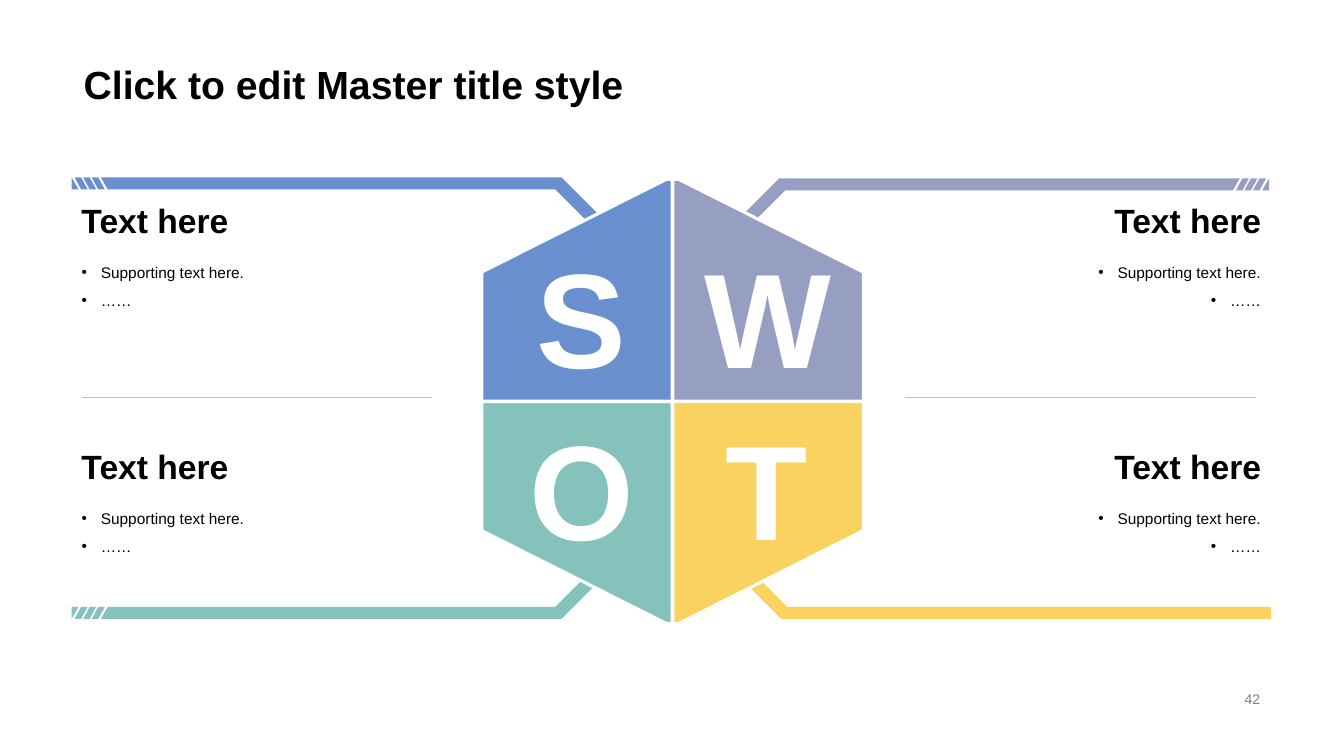
from lxml import etree
from pptx import Presentation
from pptx.dml.color import RGBColor
from pptx.enum.shapes import MSO_CONNECTOR
from pptx.enum.text import MSO_ANCHOR, MSO_AUTO_SIZE, PP_ALIGN
from pptx.oxml.ns import qn
from pptx.util import Inches, Pt

LEFT, MID, RIGHT = PP_ALIGN.LEFT, PP_ALIGN.CENTER, PP_ALIGN.RIGHT
TOP, CENTRE, BASE = MSO_ANCHOR.TOP, MSO_ANCHOR.MIDDLE, MSO_ANCHOR.BOTTOM
FIXED = MSO_AUTO_SIZE.NONE
STRAIGHT = MSO_CONNECTOR.STRAIGHT
COLS, ROWS = 133.33, 75
BLACK, WHITE, GREY, RULE = "000000", "FFFFFF", "7F7F7F", "BFBFBF"

ARM = [[(10, 17.6), (55.7, 17.6), (66.7, 28.6), (66.7, 39.6),
        (65.6, 39.6), (65.6, 29.3), (55.1, 18.8), (10.7, 18.8)]]
STRIPES = [[(x, 17.6), (x + 0.65, 17.6), (x + 1.3, 18.8), (x + 0.65, 18.8)]
           for x in (7.4, 8.25, 9.1)]
TIP = [[(7.1, 17.6), (7.8, 18.8), (7.1, 18.8)]]
STRIPED = ARM + STRIPES + TIP
PLAIN = [[(7.1, 17.6)] + ARM[0][1:-1] + [(7.1, 18.8)]]
PANEL = [[(66.7, 39.8), (47.8, 39.8), (47.8, 27), (66.1, 17.8), (66.7, 17.8)]]

SAME = (1, 0)
PARTS = [
    ("S", "698FCE", STRIPED, SAME, SAME, (47.8, 19.8)),
    ("W", "969EC2", STRIPED, (-1, 133), (1, 0.1), (68.8, 14.8)),
    ("O", "85C2BC", STRIPED, SAME, (-1, 79), (47.8, 19.8)),
    ("T", "FAD25F", PLAIN, (-1, 133.2), (-1, 79), (67, 18.1)),
]


def tint(code):
    return RGBColor.from_string(code)


def flip(loops, across, down):
    return [[(across[0] * x + across[1], down[0] * y + down[1])
             for x, y in loop] for loop in loops]


class Board:
    """Draw styled elements on one slide, measured in grid columns and rows."""

    def __init__(self, deck, slide, font):
        self.slide, self.font = slide, font
        self.col, self.row = deck.slide_width / COLS, deck.slide_height / ROWS

    def spot(self, x, y):
        return round(x * self.col), round(y * self.row)

    def letter(self, shape, lines, size, color=BLACK, bold=False,
               align=LEFT, anchor=TOP, space=1.0, mark=None):
        frame = shape.text_frame
        frame.word_wrap, frame.auto_size = True, FIXED
        frame.vertical_anchor = anchor
        for i, line in enumerate(lines):
            para = frame.add_paragraph() if i else frame.paragraphs[0]
            para.alignment, para.line_spacing = align, space
            para.space_before = para.space_after = Pt(0)
            run = para.add_run()
            run.text = line
            font = run.font
            font.name, font.size, font.bold = self.font, Pt(size), bold
            font.color.rgb = tint(color)
            if mark:
                self.mark(para, mark, color)

    def mark(self, para, sign, color):
        props = para._p.get_or_add_pPr()
        props.set("marL", str(Inches(0.19)))
        props.set("indent", str(Inches(-0.19)))
        paint = etree.SubElement(props, qn("a:buClr"))
        etree.SubElement(paint, qn("a:srgbClr"), val=color)
        etree.SubElement(props, qn("a:buFont"), typeface=self.font)
        etree.SubElement(props, qn("a:buChar"), char=sign)

    def text(self, x, y, w, h, line, size, **style):
        box = self.slide.shapes.add_textbox(*self.spot(x, y), *self.spot(w, h))
        self.letter(box, [line], size, **style)

    def holder(self, index, x, y, w, h, lines, size, **style):
        shape = self.slide.placeholders[index]
        shape.left, shape.top = self.spot(x, y)
        shape.width, shape.height = self.spot(w, h)
        self.letter(shape, lines, size, **style)

    def outline(self, loops, color, edge=None):
        first, *rest = [[self.spot(*point) for point in loop] for loop in loops]
        pen = self.slide.shapes.build_freeform(*first[0])
        pen.add_line_segments(first[1:])
        for loop in rest:
            pen.move_to(*loop[0])
            pen.add_line_segments(loop[1:])
        shape = pen.convert_to_shape()
        shape.shadow.inherit = False
        shape.fill.solid()
        shape.fill.fore_color.rgb = tint(color)
        if edge:
            shape.line.color.rgb, shape.line.width = tint(edge), Pt(2.25)
        else:
            shape.line.fill.background()

    def rule(self, x, y, w):
        line = self.slide.shapes.add_connector(
            STRAIGHT, *self.spot(x, y), *self.spot(x + w, y))
        line.line.color.rgb, line.line.width = tint(RULE), Pt(0.75)
        etree.SubElement(line._element.spPr, qn("a:effectLst"))


def main():
    deck = Presentation()
    deck.slide_width, deck.slide_height = Inches(13.33), Inches(7.5)
    slide = deck.slides.add_slide(deck.slide_layouts[4])
    board = Board(deck, slide, "Arial")
    board.holder(0, 7.3, 0, 118.7, 11.2, ["Click to edit Master title style"],
                 28, bold=True, anchor=BASE, space=0.9)
    board.text(94.2, 68.2, 31.8, 2.3, "42", 10, color=GREY,
               align=RIGHT, anchor=CENTRE)

    for _, color, arm, across, down, _ in PARTS:
        board.outline(flip(arm, across, down), color)

    for i, (sign, color, _, _, _, (x, w)) in enumerate(PARTS):
        low, right = divmod(i, 2)
        across = (-1, 133.45) if right else SAME
        down = (-1, 79.65) if low else SAME
        board.outline(flip(PANEL, across, down), color, WHITE)
        board.text(x, 39.8 if low else 22.7, w, 19.3, sign, 96,
                   color=WHITE, bold=True, align=MID)

        side, y = 85.6 if right else 7.1, 19 + 24.4 * low
        align = RIGHT if right else LEFT
        board.text(side, y, 40.5, 5.7, "Text here", 24, bold=True,
                   align=align, anchor=CENTRE)
        board.holder(i + 1, side, y + 5.7, 40.5, 10,
                     ["Supporting text here.", "……"], 11,
                     align=align, space=1.5, mark="•")

    for x in (8.1, 89.8):
        board.rule(x, 39.4, 34.8)
    deck.save("out.pptx")


if __name__ == "__main__":
    main()
